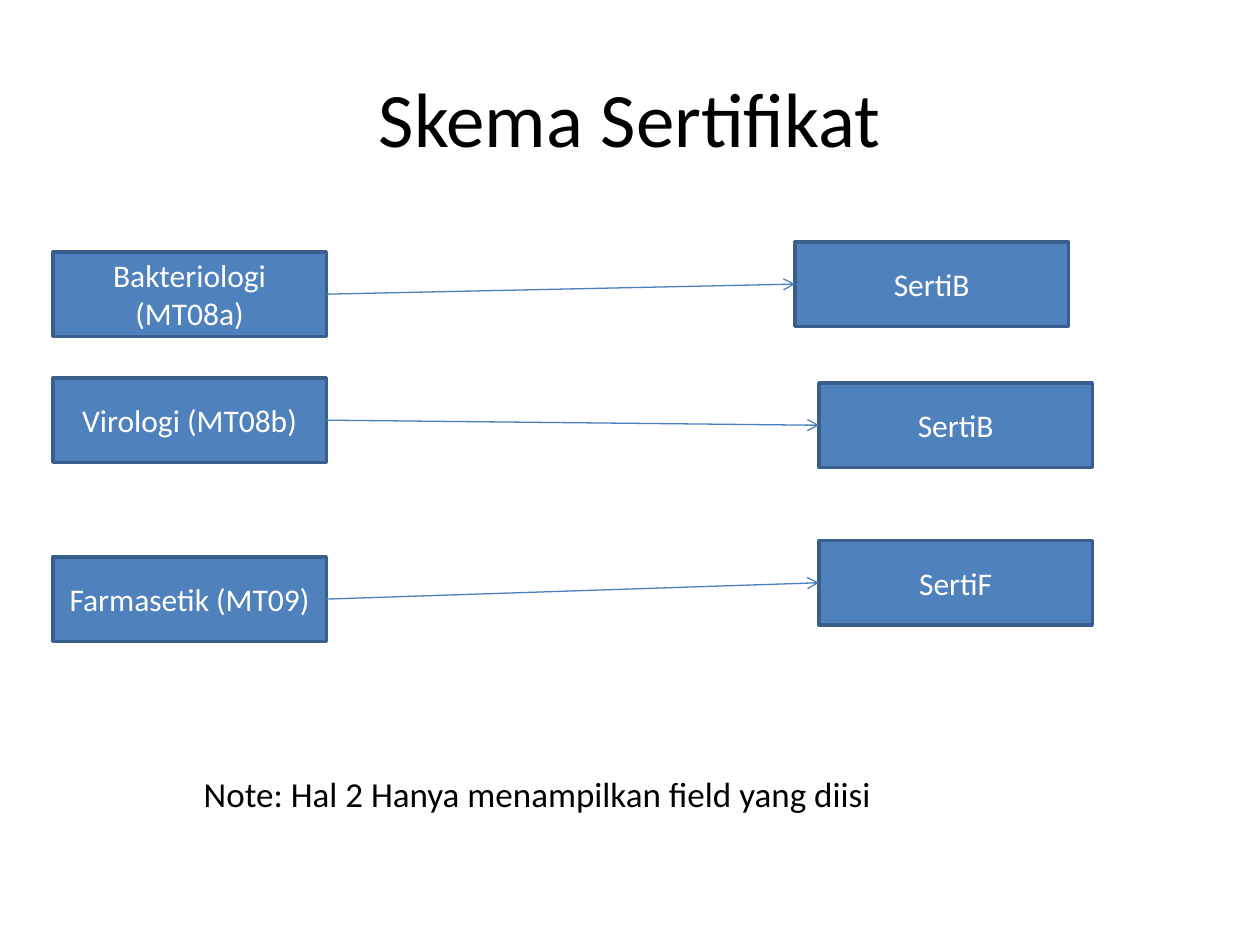
"""Build the certificate scheme slide: each laboratory form leads to its certificate."""
from lxml import etree
from pptx import Presentation
from pptx.dml.color import RGBColor
from pptx.enum.shapes import MSO_CONNECTOR, MSO_SHAPE
from pptx.enum.text import MSO_ANCHOR, PP_ALIGN
from pptx.oxml.ns import qn
from pptx.util import Inches, Pt

RECTANGLE = MSO_SHAPE.RECTANGLE
STRAIGHT = MSO_CONNECTOR.STRAIGHT
CENTER = PP_ALIGN.CENTER
MIDDLE, TOP = MSO_ANCHOR.MIDDLE, MSO_ANCHOR.TOP
BLACK = RGBColor(0x00, 0x00, 0x00)
WHITE = RGBColor(0xFF, 0xFF, 0xFF)
BLUE = RGBColor(0x4F, 0x81, 0xBD)
BORDER_BLUE = RGBColor(0x3A, 0x5F, 0x8C)
ARROW_BLUE = RGBColor(0x4B, 0x7E, 0xBC)
FONT = "Calibri"
BOX_WIDTH, BOX_HEIGHT = 2.17, 0.67
FORM_LEFT = 0.42
LEFT_SITE, RIGHT_SITE = 1, 3


def write(shape, text, size=18, color=WHITE, anchor=MIDDLE, wrap=True):
    frame = shape.text_frame
    frame.word_wrap = wrap
    frame.vertical_anchor = anchor
    paragraph = frame.paragraphs[0]
    paragraph.alignment = CENTER
    run = paragraph.add_run()
    run.text = text
    run.font.name = FONT
    run.font.size = Pt(size)
    run.font.color.rgb = color


def add_box(left, top, text):
    box = slide.shapes.add_shape(
        RECTANGLE, Inches(left), Inches(top), Inches(BOX_WIDTH), Inches(BOX_HEIGHT))
    box.shadow.inherit = False
    box.fill.solid()
    box.fill.fore_color.rgb = BLUE
    box.line.color.rgb = BORDER_BLUE
    box.line.width = Pt(2)
    write(box, text)
    return box


prs = Presentation()
prs.slide_width, prs.slide_height = Inches(10), Inches(7.5)
slide = prs.slides.add_slide(prs.slide_layouts[6])

title = slide.shapes.add_textbox(Inches(0.5), Inches(0.3), Inches(9), Inches(1.25))
write(title, "Skema Sertifikat", size=44, color=BLACK)

routes = [
    ("Bakteriologi (MT08a)", 2, "SertiB", 6.31, 1.92),
    ("Virologi (MT08b)", 3, "SertiB", 6.5, 3.04),
    ("Farmasetik (MT09)", 4.42, "SertiF", 6.5, 4.29),
]
for form_name, form_top, certificate_name, certificate_left, certificate_top in routes:
    form = add_box(FORM_LEFT, form_top, form_name)
    certificate = add_box(certificate_left, certificate_top, certificate_name)
    arrow = slide.shapes.add_connector(STRAIGHT, 0, 0, 0, 0)
    arrow.begin_connect(form, RIGHT_SITE)
    arrow.end_connect(certificate, LEFT_SITE)
    arrow.line.color.rgb = ARROW_BLUE
    arrow.line.width = Pt(0.75)
    etree.SubElement(arrow.line._get_or_add_ln(), qn("a:tailEnd"), type="arrow")
    etree.SubElement(arrow._element.spPr, qn("a:effectLst"))

note = slide.shapes.add_textbox(Inches(1.49), Inches(6.08), Inches(5.55), Inches(0.44))
write(note, "Note: Hal 2 Hanya menampilkan field yang diisi",
      size=20, color=BLACK, anchor=TOP, wrap=False)

prs.save("out.pptx")
